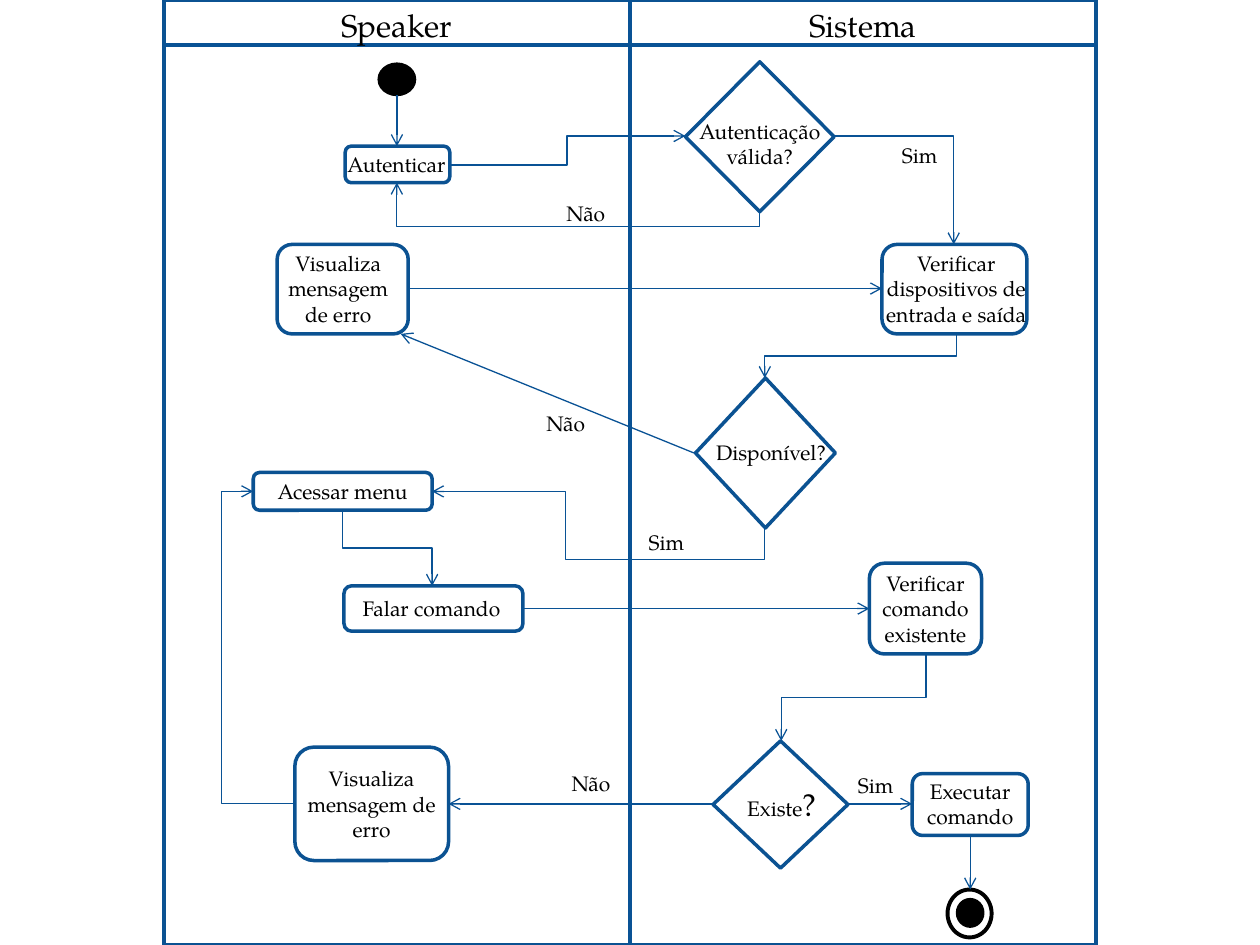
from lxml import etree
from pptx import Presentation
from pptx.dml.color import RGBColor
from pptx.enum.shapes import MSO_CONNECTOR, MSO_SHAPE
from pptx.enum.text import PP_ALIGN
from pptx.oxml.ns import qn
from pptx.util import Inches, Pt

STRAIGHT, ELBOW = MSO_CONNECTOR.STRAIGHT, MSO_CONNECTOR.ELBOW
RECTANGLE, ACTION = MSO_SHAPE.RECTANGLE, MSO_SHAPE.ROUNDED_RECTANGLE
DECISION, CIRCLE = MSO_SHAPE.FLOWCHART_DECISION, MSO_SHAPE.OVAL
LEFT, CENTER = PP_ALIGN.LEFT, PP_ALIGN.CENTER

OUTLINE = RGBColor(0x0B, 0x52, 0x92)
FLOW = RGBColor(0x09, 0x52, 0x95)
BLACK = RGBColor(0, 0, 0)
WHITE = RGBColor(0xFF, 0xFF, 0xFF)
FONT = "TeX Gyre Pagella"
COLUMNS, ROWS = 100, 75


class ActivityDiagram:
    def __init__(self, presentation):
        self.slide = presentation.slides.add_slide(presentation.slide_layouts[6])
        self.column = presentation.slide_width / COLUMNS
        self.row = presentation.slide_height / ROWS

    def place(self, *lengths):
        units = (self.column, self.row) * 2
        return [round(length * unit) for length, unit in zip(lengths, units)]

    def shape(self, kind, box, fill=WHITE, line=OUTLINE, width=2):
        shape = self.slide.shapes.add_shape(kind, *self.place(*box))
        shape.shadow.inherit = False
        if fill is None:
            shape.fill.background()
        else:
            shape.fill.solid()
            shape.fill.fore_color.rgb = fill
        shape.line.color.rgb = line
        shape.line.width = Pt(width)

    def text(self, box, lines, size=12, align=CENTER):
        frame = self.slide.shapes.add_textbox(*self.place(*box)).text_frame
        frame.word_wrap = True
        for index, line in enumerate(lines.split("\n")):
            paragraph = frame.add_paragraph() if index else frame.paragraphs[0]
            paragraph.text = line
            paragraph.alignment = align
            paragraph.font.size = Pt(size)
            paragraph.font.name = FONT
            paragraph.font.color.rgb = BLACK
        return frame

    def line(self, begin, end, width=0.75, arrow=True, kind=STRAIGHT):
        connector = self.slide.shapes.add_connector(kind, *self.place(*begin, *end))
        connector.line.color.rgb = FLOW
        connector.line.width = Pt(width)
        if arrow:
            outline = connector.line._get_or_add_ln()
            etree.SubElement(outline, qn("a:tailEnd"), type="arrow")
        etree.SubElement(connector._element.spPr, qn("a:effectLst"))
        return connector

    def elbow(self, begin, end, bends=(), vertical=False, preset="bentConnector3"):
        if vertical:
            middle_x, middle_y = (begin[0] + end[0]) / 2, (begin[1] + end[1]) / 2
            half_x, half_y = (end[0] - begin[0]) / 2, (end[1] - begin[1]) / 2
            begin = middle_x - half_y, middle_y + half_x
            end = middle_x + half_y, middle_y - half_x
        properties = self.line(begin, end, kind=ELBOW)._element.spPr
        if vertical:
            properties.find(qn("a:xfrm")).set("rot", "5400000")
        geometry = properties.find(qn("a:prstGeom"))
        geometry.set("prst", preset)
        guides = geometry.find(qn("a:avLst"))
        for number, share in enumerate(bends, 1):
            etree.SubElement(guides, qn("a:gd"), name=f"adj{number}",
                             fmla=f"val {round(share * 100000)}")


presentation = Presentation()
presentation.slide_width, presentation.slide_height = Inches(10), Inches(7.5)
diagram = ActivityDiagram(presentation)

diagram.shape(RECTANGLE, (13, 0, 74, 75), fill=None)
diagram.line((50, 0), (50, 75), 2.25, arrow=False)
diagram.line((13, 3.6), (87, 3.6), 2.25, arrow=False)
for left, lane in ((13, "Speaker"), (50, "Sistema")):
    diagram.text((left, 0, 37, 4), lane, size=18)

diagram.shape(CIRCLE, (30.1, 5.1, 2.8, 2.4), BLACK, BLACK)
diagram.shape(CIRCLE, (75.2, 70.6, 3.5, 3.8), None, BLACK, 2.25)
diagram.shape(CIRCLE, (76, 71.4, 2, 2.1), BLACK, BLACK)

steps = [
    (ACTION, (27.4, 11.6, 8.3, 2.9), (26.6, 11.5, 15.4, 3), "Autenticar", LEFT),
    (DECISION, (54.4, 4.9, 11.8, 11.9), (54.4, 8.9, 11.8, 5), "Autenticação válida?", CENTER),
    (ACTION, (70, 19.4, 11.5, 7.1), (69.2, 19.4, 13.4, 7.1),
     "Verificar dispositivos de entrada e saída", CENTER),
    (ACTION, (22, 19.4, 10.4, 7.1), (21.7, 19.4, 10.3, 7.1), "Visualiza mensagem de erro", CENTER),
    (DECISION, (55.2, 30, 11.1, 11.9), (55.4, 34.4, 11.6, 3), "Disponível?", CENTER),
    (ACTION, (20.1, 37.5, 14.2, 3), (20.1, 37.5, 14.2, 3), "Acessar menu", CENTER),
    (ACTION, (27.3, 46.5, 14.2, 3.6), (26.9, 46.8, 14.7, 3), "Falar comando", CENTER),
    (ACTION, (69, 44.7, 8.9, 7.2), (68.9, 44.8, 9.1, 7.1), "Verificar comando existente", CENTER),
    (ACTION, (23.4, 59.3, 12.2, 9), (23.3, 60.3, 12.4, 7.1), "Visualiza mensagem de erro", CENTER),
    (ACTION, (72.4, 61.4, 9.2, 4.9), (72.4, 61.3, 9.2, 5), "Executar\ncomando", CENTER),
]
for kind, outline, text_box, caption, align in steps:
    diagram.shape(kind, outline)
    diagram.text(text_box, caption, align=align)

diagram.shape(DECISION, (56.6, 58.8, 10.7, 10.1))
question = diagram.text((57.7, 61.8, 8.7, 4), "Existe").paragraphs[0].add_run()
question.text = "?"
question.font.size = Pt(18)

arrows = [
    ((31.5, 7.5), (31.5, 11.6)),
    ((32.5, 22.9), (70, 22.9)),
    ((41.4, 48.3), (69, 48.3)),
    ((55.2, 36), (31.8, 26.5)),
    ((56.6, 63.8), (35.6, 63.8)),
    ((67.3, 63.8), (72.4, 63.8)),
    ((77, 66.3), (77, 70.6)),
]
for begin, end in arrows:
    diagram.line(begin, end)

diagram.elbow((66.1, 10.8), (75.7, 19.4), preset="bentConnector2")
diagram.elbow((35.6, 13.1), (54.4, 10.8))
diagram.elbow((23.4, 63.8), (20.1, 39), [1.76])
diagram.elbow((75.9, 26.5), (60.7, 30), vertical=True)
diagram.elbow((73.5, 51.9), (62, 58.8), vertical=True)
diagram.elbow((27.2, 40.5), (34.3, 46.5), vertical=True)
diagram.elbow((60.3, 16.8), (31.5, 14.5), [-0.5], vertical=True)
diagram.elbow((60.7, 41.9), (34.3, 39), [-0.86, 0.6], vertical=True, preset="bentConnector4")

answers = {
    "Sim": [(50.2, 41.5), (70.3, 10.8), (66.8, 60.8)],
    "Não": [(43.8, 15.4), (42.2, 32.1), (44.2, 60.7)],
}
for answer, corners in answers.items():
    for corner in corners:
        diagram.text((*corner, 5.4, 3), answer)

presentation.save("out.pptx")
